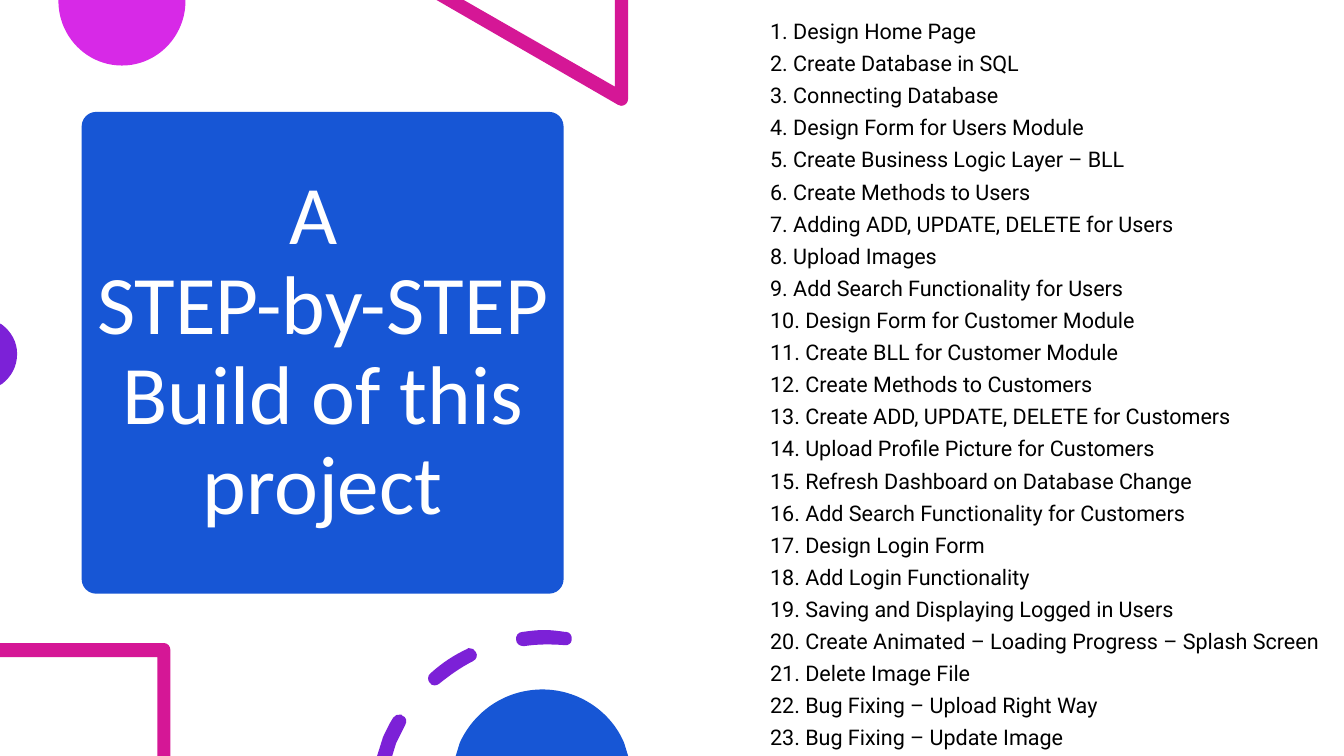
from lxml.etree import SubElement
from pptx import Presentation
from pptx.dml.color import RGBColor
from pptx.enum.shapes import MSO_SHAPE
from pptx.enum.text import MSO_ANCHOR, PP_ALIGN
from pptx.oxml.ns import qn
from pptx.util import Pt

PX = 9144
PAGE_WIDTH = 1333
PAGE_HEIGHT = 750

WHITE = RGBColor(0xFF, 0xFF, 0xFF)
BLACK = RGBColor(0x00, 0x00, 0x00)
BLUE = RGBColor(0x17, 0x56, 0xD5)
PURPLE = RGBColor(0x7C, 0x21, 0xD7)
MAGENTA = RGBColor(0xD7, 0x29, 0xE7)
PINK = RGBColor(0xD5, 0x17, 0x96)

TITLE = "A \nSTEP-by-STEP\nBuild of this project"
STEPS = [
    "Design Home Page",
    "Create Database in SQL",
    "Connecting Database",
    "Design Form for Users Module",
    "Create Business Logic Layer – BLL",
    "Create Methods to Users",
    "Adding ADD, UPDATE, DELETE for Users",
    "Upload Images",
    "Add Search Functionality for Users",
    "Design Form for Customer Module",
    "Create BLL for Customer Module",
    "Create Methods to Customers",
    "Create ADD, UPDATE, DELETE for Customers",
    "Upload Profile Picture for Customers",
    "Refresh Dashboard on Database Change",
    "Add Search Functionality for Customers",
    "Design Login Form",
    "Add Login Functionality",
    "Saving and Displaying Logged in Users",
    "Create Animated – Loading Progress – Splash Screen",
    "Delete Image File",
    "Bug Fixing – Upload Right Way",
    "Bug Fixing – Update Image",
]

MAGENTA_DISC = [(184, 0), (58, 0), (58, 1), (58, 36, 86, 65, 121, 65),
                (156, 65, 184, 36, 184, 1)]
PINK_TRIANGLE = [(623, 0), (610, 0), (610, 86), (460, 0), (433, 0), (613, 104),
                 (614, 105, 615, 105, 616, 105), (620, 105, 623, 102, 623, 98)]
PURPLE_DISC = [(0, 321), (0, 382), (2, 381), (11, 374, 17, 364, 17, 351),
               (17, 339, 11, 329, 2, 322)]
PINK_CORNER = [(163, 638), (0, 638), (0, 652), (156, 652), (156, 750), (169, 750),
               (169, 645), (169, 641, 166, 638, 163, 638)]
BLUE_DISC = [(538, 684), (501, 684, 470, 706, 456, 737), (452, 750), (623, 750),
             (619, 737), (606, 706, 574, 684, 538, 684)]
DASHES = [
    [(397, 709), (394, 708, 392, 710, 390, 712), (386, 718, 383, 725, 380, 731),
     (374, 750), (389, 750), (393, 737), (396, 731, 399, 725, 402, 719),
     (404, 716, 403, 711, 399, 710), (399, 709, 398, 709, 397, 709)],
    [(465, 643), (465, 643, 464, 643, 463, 644), (450, 650, 438, 658, 427, 668),
     (424, 670, 424, 675, 426, 677), (427, 679, 429, 680, 431, 680),
     (433, 680, 435, 679, 436, 678), (446, 670, 457, 662, 469, 656),
     (473, 654, 474, 650, 472, 647), (471, 644, 468, 643, 465, 643)],
    [(540, 625), (532, 625, 525, 626, 518, 627), (514, 627, 511, 631, 512, 635),
     (512, 638, 515, 641, 519, 641), (519, 641, 519, 641, 520, 641),
     (533, 639, 546, 639, 560, 640), (563, 641, 567, 638, 567, 635),
     (568, 631, 565, 627, 562, 627), (562, 627, 561, 627, 561, 627),
     (554, 626, 547, 625, 540, 625)],
]


def paint(shape, color):
    shape.shadow.inherit = False
    shape.fill.solid()
    shape.fill.fore_color.rgb = color
    shape.line.fill.background()


def piece_points(piece):
    return [(x * PX, y * PX) for x, y in zip(piece[::2], piece[1::2])]


def round_off(shape, outlines):
    path = next(shape.element.iter(qn("a:path")))
    lines = iter(path.findall(qn("a:lnTo")))
    for outline in outlines:
        for piece in outline[1:]:
            line = next(lines)
            if len(piece) == 2:
                continue
            curve = SubElement(path, qn("a:cubicBezTo"))
            line.addprevious(curve)
            for step in (line, next(lines), next(lines)):
                curve.append(step[0])
                path.remove(step)


def add_outlines(page, outlines, color):
    builder = None
    for outline in outlines:
        start = piece_points(outline[0])[0]
        if builder is None:
            builder = page.shapes.build_freeform(*start, scale=1.0)
        else:
            builder.move_to(*start)
        points = [point for piece in outline[1:] for point in piece_points(piece)]
        builder.add_line_segments(points, close=True)
    shape = builder.convert_to_shape()
    round_off(shape, outlines)
    paint(shape, color)


def add_panel(page, kind, left, top, width, height, color):
    panel = page.shapes.add_shape(kind, left * PX, top * PX, width * PX, height * PX)
    paint(panel, color)
    return panel


def add_text(page, left, top, width, height, lines, font, size, color,
             spacing, before=0, align=PP_ALIGN.LEFT, anchor=MSO_ANCHOR.TOP):
    box = page.shapes.add_textbox(left * PX, top * PX, width * PX, height * PX)
    frame = box.text_frame
    frame.word_wrap = True
    frame.vertical_anchor = anchor
    for index, line in enumerate(lines):
        para = frame.add_paragraph() if index else frame.paragraphs[0]
        para.text = line
        para.alignment = align
        para.line_spacing = spacing
        para.space_before = Pt(before if index else 0)
        para.font.name = font
        para.font.size = Pt(size)
        para.font.color.rgb = color


def main():
    deck = Presentation()
    deck.slide_width = PAGE_WIDTH * PX
    deck.slide_height = PAGE_HEIGHT * PX
    page = deck.slides.add_slide(deck.slide_layouts[6])

    add_panel(page, MSO_SHAPE.RECTANGLE, 0, 0, PAGE_WIDTH, PAGE_HEIGHT, WHITE)
    title_panel = add_panel(page, MSO_SHAPE.ROUNDED_RECTANGLE, 81, 111, 478, 478, BLUE)
    title_panel.adjustments[0] = 0.03
    add_text(page, 81, 122, 478, 456, [TITLE], "Calibri", 59.4, WHITE, 0.9,
             align=PP_ALIGN.CENTER, anchor=MSO_ANCHOR.MIDDLE)
    add_outlines(page, [MAGENTA_DISC], MAGENTA)
    add_outlines(page, [PINK_TRIANGLE], PINK)
    add_outlines(page, [PURPLE_DISC], PURPLE)
    numbered = [f"{number}. {step}" for number, step in enumerate(STEPS, 1)]
    add_text(page, 754, 20, 579, 750, numbered, "Roboto", 15.4, BLACK, 0.7, before=10)
    add_outlines(page, [PINK_CORNER], PINK)
    add_outlines(page, DASHES, PURPLE)
    add_outlines(page, [BLUE_DISC], BLUE)
    deck.save("out.pptx")


if __name__ == "__main__":
    main()
